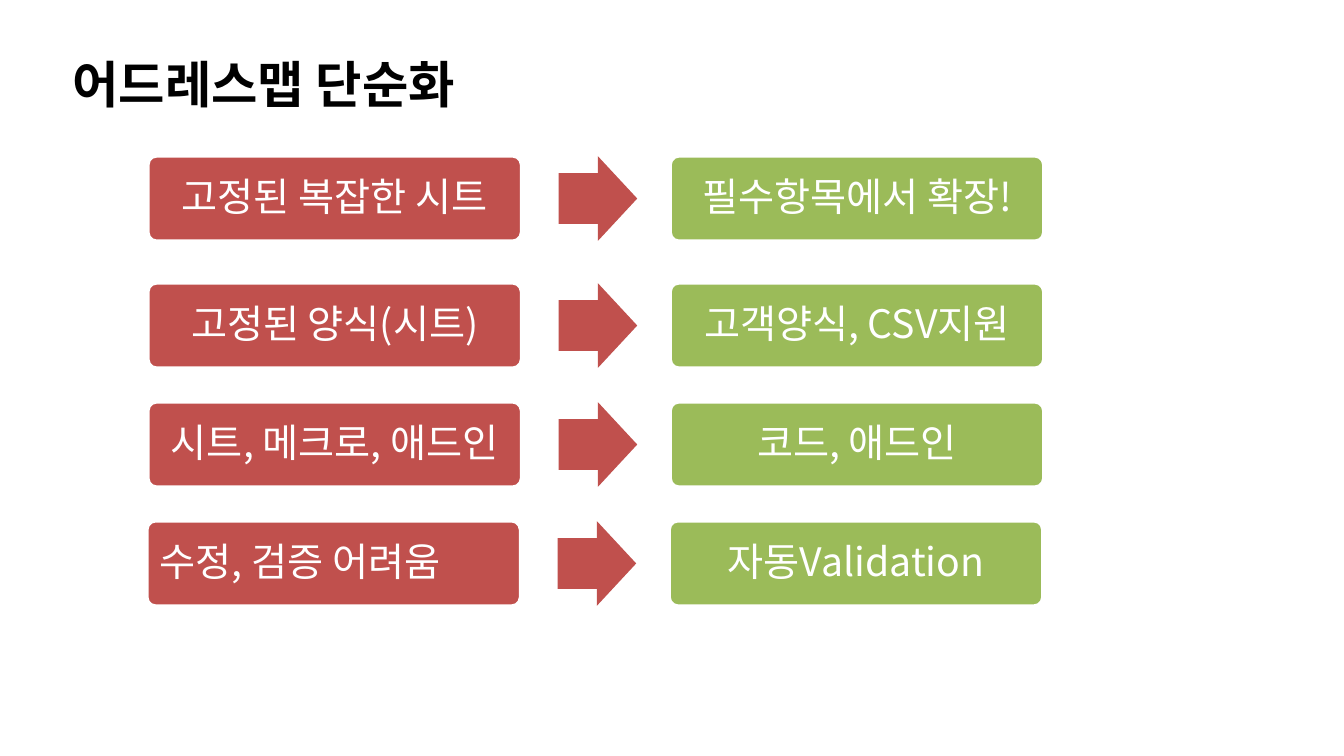
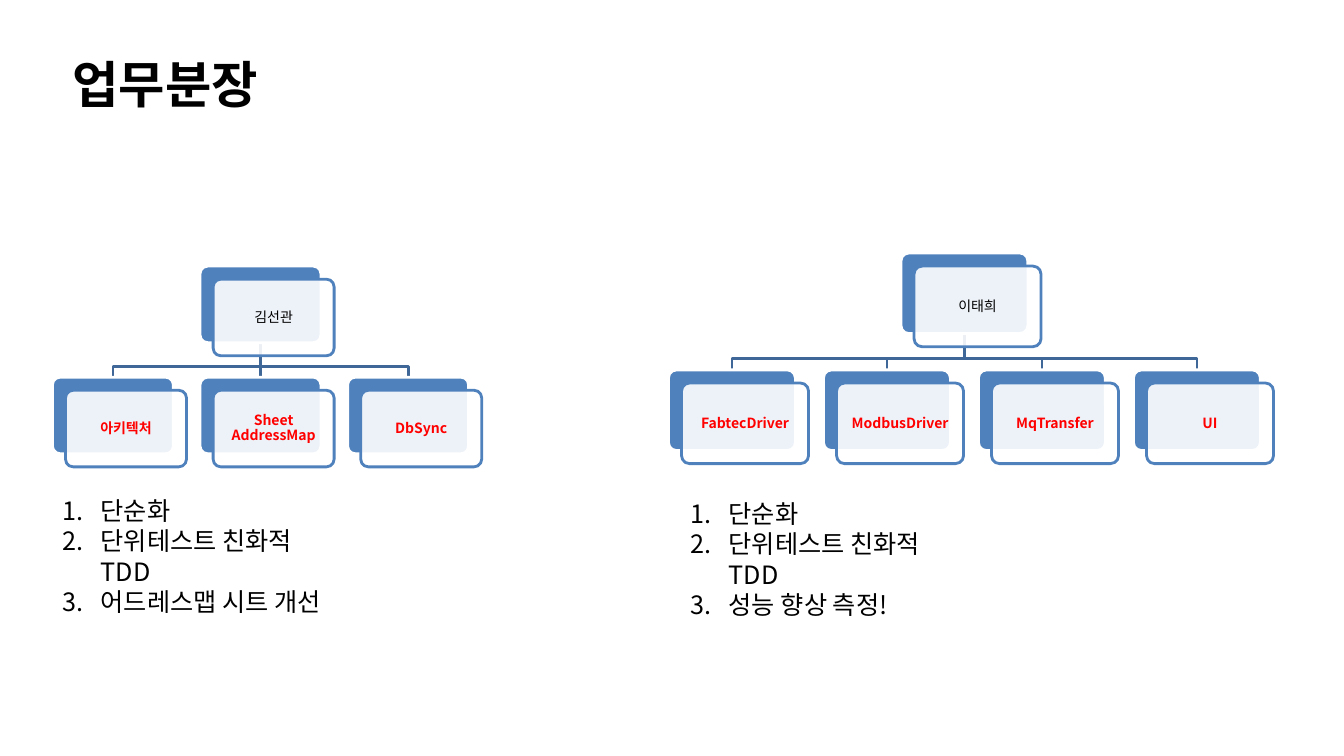
from dataclasses import dataclass

from lxml import etree
from pptx import Presentation
from pptx.dml.color import RGBColor
from pptx.enum.shapes import MSO_CONNECTOR, MSO_SHAPE
from pptx.enum.text import MSO_ANCHOR, PP_ALIGN
from pptx.oxml.ns import qn
from pptx.util import Inches, Pt

# Shared style
FONT = "Noto Sans CJK KR"
BLACK = RGBColor(0x00, 0x00, 0x00)
WHITE = RGBColor(0xFF, 0xFF, 0xFF)
RED = RGBColor(0xC0, 0x50, 0x4D)
GREEN = RGBColor(0x9B, 0xBB, 0x59)
BLUE = RGBColor(0x4F, 0x81, 0xBD)
LINE_BLUE = RGBColor(0x3F, 0x67, 0x97)
TASK_RED = RGBColor(0xFF, 0x00, 0x00)
ROUNDED = MSO_SHAPE.ROUNDED_RECTANGLE
ARROW = MSO_SHAPE.RIGHT_ARROW
STRAIGHT = MSO_CONNECTOR.STRAIGHT
LEFT = PP_ALIGN.LEFT
CENTER = PP_ALIGN.CENTER
MIDDLE = MSO_ANCHOR.MIDDLE
LINE_WIDTH = Pt(2)


@dataclass
class Change:
    left: float
    top: float
    before: str
    after: str
    before_align: PP_ALIGN = CENTER


@dataclass
class Team:
    left: float
    root_top: float
    card_width: float
    card_height: float
    leader: str
    tasks: list[str]


@dataclass
class GoalList:
    left: float
    top: float
    goals: list[str]


CHANGES = [
    Change(1.47, 1.55, "고정된 복잡한 시트", "필수항목에서 확장!"),
    Change(1.47, 2.81, "고정된 양식(시트)", "고객양식, CSV지원"),
    Change(1.47, 3.99, "시트, 메크로, 애드인", "코드, 애드인"),
    Change(1.46, 5.17, "수정, 검증 어려움", "자동Validation", LEFT),
]
TEAMS = [
    Team(0.52, 2.64, 1.2, 0.76, "김선관", ["아키텍처", "Sheet AddressMap", "DbSync"]),
    Team(6.63, 2.51, 1.26, 0.8, "이태희",
         ["FabtecDriver", "ModbusDriver", "MqTransfer", "UI"]),
]
GOAL_LISTS = [
    GoalList(0.52, 4.86, ["단순화", "단위테스트 친화적 TDD", "어드레스맵 시트 개선"]),
    GoalList(6.75, 4.89, ["단순화", "단위테스트 친화적 TDD", "성능 향상 측정!"]),
]


# Text helpers
def add_run(paragraph, text: str, size: float, color: RGBColor, bold: bool = False) -> None:
    run = paragraph.add_run()
    run.text = text
    run.font.name = FONT
    run.font.size = Pt(size)
    run.font.bold = bold
    run.font.color.rgb = color
    east_asian = etree.SubElement(run.font._element, qn("a:ea"))
    east_asian.set("typeface", FONT)


def set_label(shape, text: str, size: float, color: RGBColor, inset: float,
              bold: bool = False, align: PP_ALIGN = CENTER) -> None:
    frame = shape.text_frame
    frame.word_wrap = True
    frame.vertical_anchor = MIDDLE
    frame.margin_left = frame.margin_right = Inches(inset)
    frame.margin_top = frame.margin_bottom = Inches(inset)
    paragraph = frame.paragraphs[0]
    paragraph.alignment = align
    paragraph.line_spacing = Pt(size * 1.08)
    add_run(paragraph, text, size, color, bold)


def add_titled_slide(presentation, title: str):
    slide = presentation.slides.add_slide(presentation.slide_layouts[6])
    box = slide.shapes.add_textbox(Inches(0.62), Inches(0.47), Inches(12), Inches(0.72))
    box.text_frame.word_wrap = True
    box.text_frame.vertical_anchor = MIDDLE
    add_run(box.text_frame.paragraphs[0], title, 36, BLACK, bold=True)
    return slide


# Shape helpers
def add_block(slide, kind, left: float, top: float, width: float, height: float,
              fill: RGBColor, line: RGBColor | None = None):
    shape = slide.shapes.add_shape(
        kind, Inches(left), Inches(top), Inches(width), Inches(height))
    shape.shadow.inherit = False
    shape.fill.solid()
    shape.fill.fore_color.rgb = fill
    if line is None:
        shape.line.fill.background()
    else:
        shape.line.color.rgb = line
        shape.line.width = LINE_WIDTH
    if kind == ROUNDED:
        shape.adjustments[0] = 0.1
    return shape


def add_vertical_line(slide, x: float, top: float, bottom: float) -> None:
    connector = slide.shapes.add_connector(
        STRAIGHT, Inches(x), Inches(top), Inches(x), Inches(bottom))
    connector.line.color.rgb = LINE_BLUE
    connector.line.width = LINE_WIDTH
    etree.SubElement(connector._element.spPr, qn("a:effectLst"))


def add_bracket(slide, left: float, right: float, top: float, bottom: float) -> None:
    builder = slide.shapes.build_freeform(Inches(left), Inches(bottom))
    corners = [(left, top), (right, top), (right, bottom)]
    builder.add_line_segments([(Inches(x), Inches(y)) for x, y in corners], close=False)
    bracket = builder.convert_to_shape()
    bracket.shadow.inherit = False
    bracket.fill.background()
    bracket.line.color.rgb = LINE_BLUE
    bracket.line.width = LINE_WIDTH


# Before and after rows
def add_change(slide, change: Change) -> None:
    width, height = 3.7, 0.84
    before = add_block(slide, ROUNDED, change.left, change.top, width, height, RED, WHITE)
    set_label(before, change.before, 28, WHITE, 0.1, align=change.before_align)
    arrow = add_block(slide, ARROW, change.left + 4.07, change.top, 0.78, height, RED)
    arrow.adjustments[0] = 0.6
    arrow.adjustments[1] = 0.5
    after = add_block(slide, ROUNDED, change.left + 5.18, change.top, width, height,
                      GREEN, WHITE)
    set_label(after, change.after, 28, WHITE, 0.1)


# Organisation charts
def add_card(slide, team: Team, left: float, top: float, text: str,
             color: RGBColor, bold: bool) -> None:
    offset = 0.13
    size = (team.card_width, team.card_height)
    add_block(slide, ROUNDED, left, top, *size, BLUE, WHITE)
    front = add_block(slide, ROUNDED, left + offset, top + offset, *size, WHITE, BLUE)
    fill_color = front._element.spPr.find(qn("a:solidFill"))[0]
    etree.SubElement(fill_color, qn("a:alpha")).set("val", "90000")
    set_label(front, text, 10, color, 0.04, bold)


def add_team(slide, team: Team) -> None:
    pitch = team.card_width * 1.22
    task_top = team.root_top + team.card_height * 1.45
    bus_top = task_top - 0.11
    lefts = [team.left + pitch * index for index in range(len(team.tasks))]
    root_left = (lefts[0] + lefts[-1]) / 2
    centers = [left + team.card_width / 2 for left in lefts]

    add_bracket(slide, centers[0], centers[-1], bus_top, task_top)
    add_vertical_line(slide, root_left + team.card_width / 2,
                      team.root_top + team.card_height, bus_top)
    for center in centers[1:-1]:
        add_vertical_line(slide, center, bus_top, task_top)

    add_card(slide, team, root_left, team.root_top, team.leader, BLACK, False)
    for left, task in zip(lefts, team.tasks):
        add_card(slide, team, left, task_top, task, TASK_RED, True)


# Numbered goals
def add_goals(slide, goal_list: GoalList) -> None:
    box = slide.shapes.add_textbox(
        Inches(goal_list.left), Inches(goal_list.top), Inches(3.01), Inches(1.31))
    frame = box.text_frame
    frame.word_wrap = True
    for index, goal in enumerate(goal_list.goals):
        paragraph = frame.add_paragraph() if index else frame.paragraphs[0]
        paragraph.line_spacing = Pt(21.8)
        properties = paragraph._p.get_or_add_pPr()
        properties.set("marL", str(Inches(0.38)))
        properties.set("indent", str(-Inches(0.38)))
        etree.SubElement(properties, qn("a:buFont")).set("typeface", FONT)
        etree.SubElement(properties, qn("a:buAutoNum")).set("type", "arabicPeriod")
        add_run(paragraph, goal, 18, BLACK)


def main() -> None:
    presentation = Presentation()
    presentation.slide_width = Inches(13.33)
    presentation.slide_height = Inches(7.5)

    slide = add_titled_slide(presentation, "어드레스맵 단순화")
    for change in CHANGES:
        add_change(slide, change)

    slide = add_titled_slide(presentation, "업무분장")
    for team in TEAMS:
        add_team(slide, team)
    for goal_list in GOAL_LISTS:
        add_goals(slide, goal_list)

    presentation.save("out.pptx")


if __name__ == "__main__":
    main()
